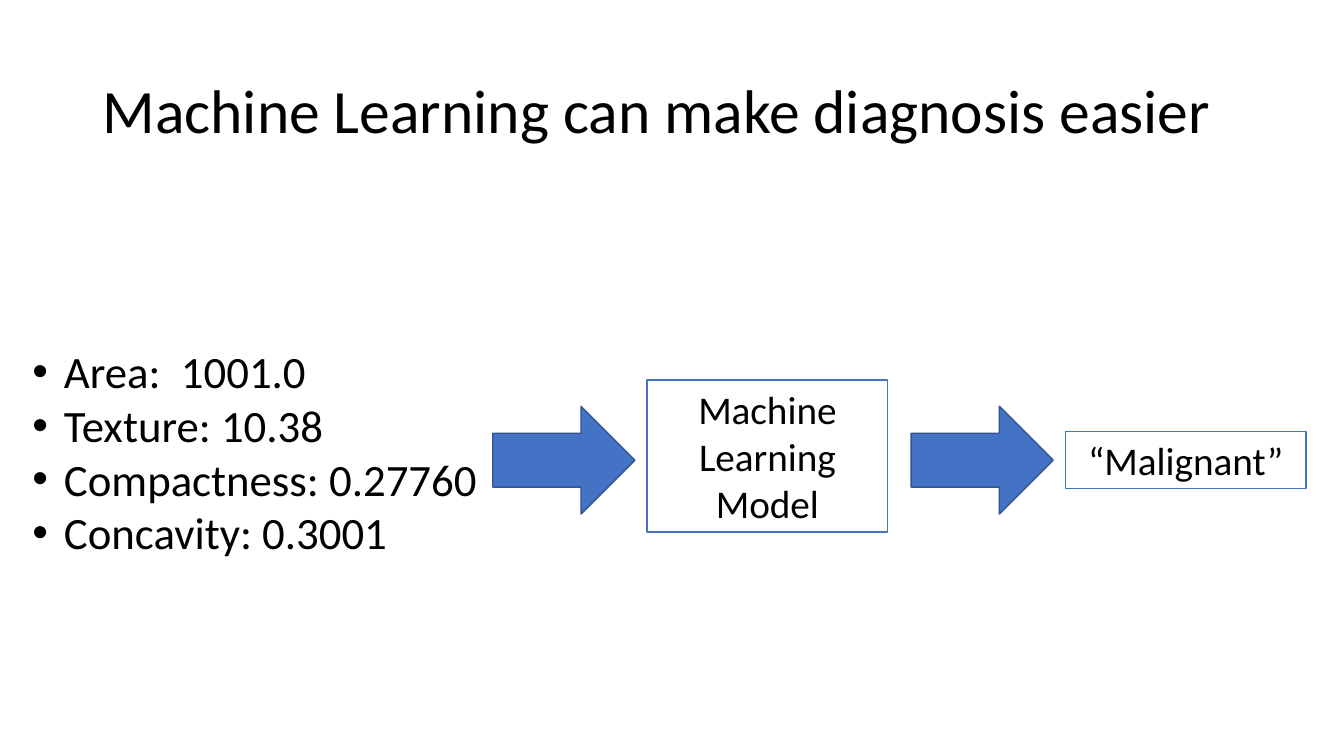
from lxml import etree
from pptx import Presentation
from pptx.dml.color import RGBColor
from pptx.enum.shapes import MSO_SHAPE
from pptx.enum.text import MSO_ANCHOR, MSO_AUTO_SIZE, PP_ALIGN
from pptx.oxml.ns import qn
from pptx.util import Pt

RECTANGLE, ARROW = MSO_SHAPE.RECTANGLE, MSO_SHAPE.RIGHT_ARROW
TOP, MIDDLE = MSO_ANCHOR.TOP, MSO_ANCHOR.MIDDLE
LEFT, CENTER = PP_ALIGN.LEFT, PP_ALIGN.CENTER
NO_AUTOFIT = MSO_AUTO_SIZE.NONE

FONT = "Calibri"
COLORS = {"text": "000000", "paper": "FFFFFF", "blue": "4472C4", "edge": "325491"}
TITLE = "Machine Learning can make diagnosis easier"
FEATURES = ["Area:  1001.0", "Texture: 10.38", "Compactness: 0.27760", "Concavity: 0.3001"]
STAGES = [("Machine Learning Model", 271.4, 108.7), ("“Malignant”", 308.2, 41)]
BULLET_INDENT = 22.5


def color(name):
    """Return the named colour."""
    return RGBColor.from_string(COLORS[name])


def place(shape, left, top, width, height):
    """Move a shape to a box given in points."""
    shape.left, shape.top = Pt(left), Pt(top)
    shape.width, shape.height = Pt(width), Pt(height)


def write_text(shape, lines, size, align=LEFT, anchor=MIDDLE, spacing=1.0):
    """Write one formatted paragraph per line and return the paragraphs."""
    frame = shape.text_frame
    frame.text = "\n".join(lines)
    frame.word_wrap = True
    frame.auto_size = NO_AUTOFIT
    frame.vertical_anchor = anchor
    for paragraph in frame.paragraphs:
        paragraph.alignment = align
        paragraph.line_spacing = spacing
        paragraph.space_before = Pt(0)
        font = paragraph.runs[0].font
        font.name, font.size = FONT, Pt(size)
        font.color.rgb = color("text")
    return frame.paragraphs


def add_bullet(paragraph):
    """Give a paragraph a hanging round bullet."""
    properties = paragraph._p.get_or_add_pPr()
    properties.set("marL", str(Pt(BULLET_INDENT)))
    properties.set("indent", str(-Pt(BULLET_INDENT)))
    etree.SubElement(properties, qn("a:buFont"), typeface="Arial")
    etree.SubElement(properties, qn("a:buChar"), char="•")


def add_block(slide, kind, box, fill, line):
    """Add a filled and outlined preset shape."""
    shape = slide.shapes.add_shape(kind, *map(Pt, box))
    shape.shadow.inherit = False
    shape.fill.solid()
    shape.fill.fore_color.rgb = color(fill)
    shape.line.color.rgb = color(line)
    shape.line.width = Pt(1)
    return shape


def build_title(slide, box):
    """Place the slide title."""
    place(slide.shapes.title, *box)
    write_text(slide.shapes.title, [TITLE], 44, spacing=0.9)


def build_features(slide, box):
    """Place the bulleted list of measurements."""
    body = slide.placeholders[1]
    place(body, *box)
    for paragraph in write_text(body, FEATURES, 32, anchor=TOP):
        add_bullet(paragraph)


def build_flow(slide, left, step):
    """Place an arrow and a labelled box for each stage."""
    for index, (label, top, height) in enumerate(STAGES):
        start = left + index * step
        add_block(slide, ARROW, (start, 290.2, 101.5, 77), "blue", "edge")
        box = (start + 110.2, top, 172, height)
        stage = add_block(slide, RECTANGLE, box, "paper", "blue")
        write_text(stage, [label], 28, align=CENTER)


def main():
    """Build and save the presentation."""
    presentation = Presentation()
    presentation.slide_width, presentation.slide_height = Pt(960), Pt(540)
    slide = presentation.slides.add_slide(presentation.slide_layouts[1])
    build_title(slide, (66, 28.8, 828, 104.4))
    build_features(slide, (16, 242, 343.5, 162.7))
    build_flow(slide, left=352, step=298.8)
    presentation.save("out.pptx")


if __name__ == "__main__":
    main()
